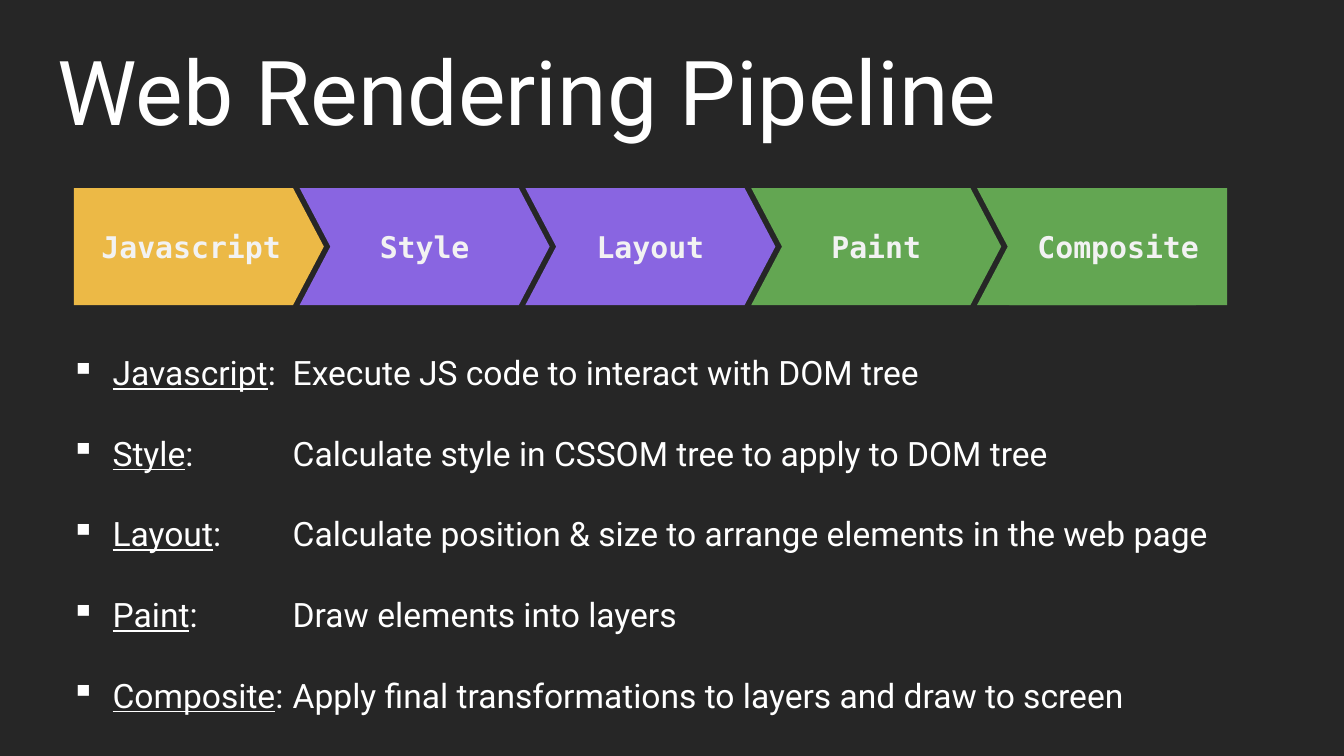
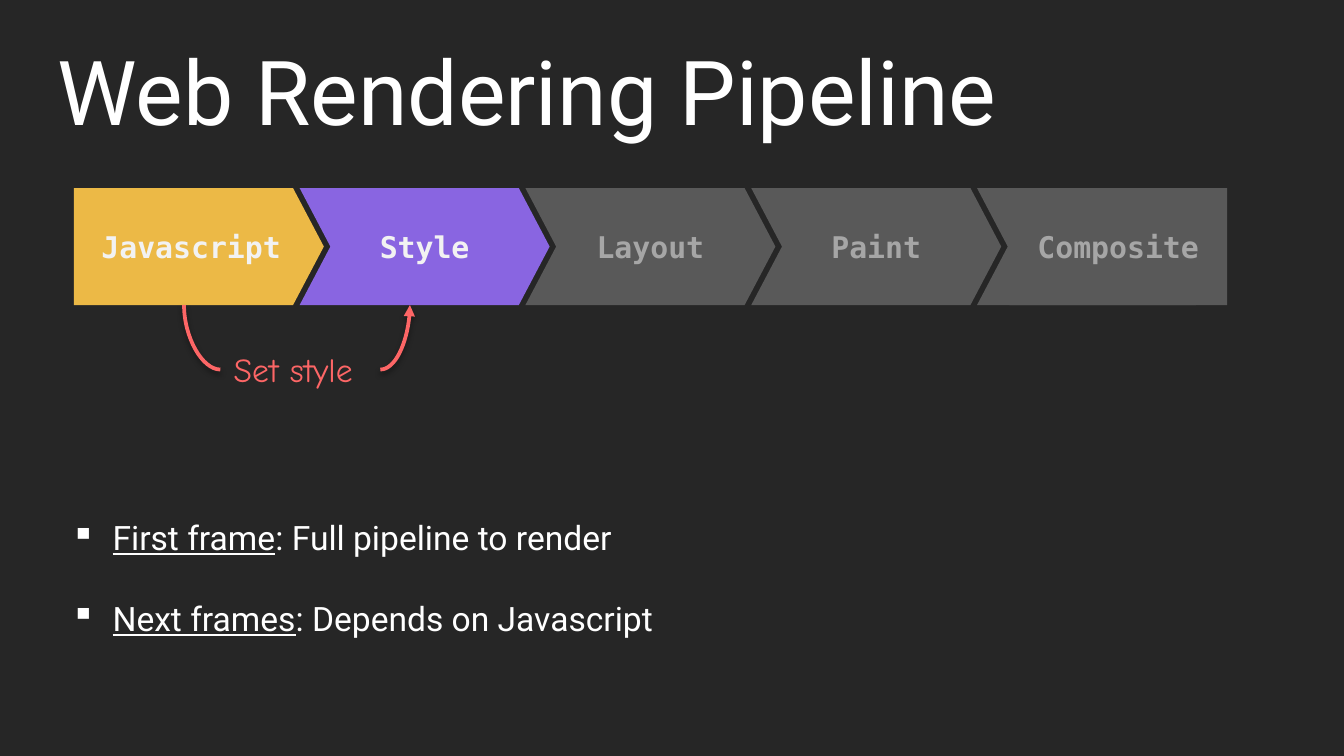
from lxml import etree
from pptx import Presentation
from pptx.dml.color import RGBColor
from pptx.enum.shapes import MSO_CONNECTOR as CONNECTOR, MSO_SHAPE as SHAPE
from pptx.enum.text import MSO_ANCHOR as ANCHOR, MSO_AUTO_SIZE as AUTO_SIZE, PP_ALIGN as ALIGN
from pptx.oxml import parse_xml
from pptx.oxml.ns import nsdecls, qn
from pptx.util import Inches, Pt

# Shared colours and fonts
DARK = RGBColor(0x26, 0x26, 0x26)
WHITE = RGBColor(0xFF, 0xFF, 0xFF)
LIGHT = RGBColor(0xF2, 0xF2, 0xF2)
YELLOW = RGBColor(0xEC, 0xB9, 0x46)
PURPLE = RGBColor(0x89, 0x65, 0xE1)
GREEN = RGBColor(0x63, 0xA6, 0x52)
GREY = RGBColor(0x59, 0x59, 0x59)
FADED = RGBColor(0xA6, 0xA6, 0xA6)
CORAL = RGBColor(0xFD, 0x66, 0x66)
BODY_FONT = "Roboto"
STAGE_FONT = "DejaVu Sans Mono"
NOTE_FONT = "Comic Neue"

# Shared layout, in inches: left, top, width, height
TITLE_BOX = (0.33, 0.22, 9.34, 0.89)
PIPELINE_BOX = (0.55, 1.4, 8.58, 0.87)
STAGE_WIDTH = 1.86
STAGE_POINT = 0.263  # depth of the arrow point relative to the height
BULLET_INDENT = 0.31
DESCRIPTION_TAB = 1.65

STAGES = [
    ("Javascript", YELLOW),
    ("Style", PURPLE),
    ("Layout", PURPLE),
    ("Paint", GREEN),
    ("Composite", GREEN),
]
STAGE_NOTES = [
    ("Javascript", ":\tExecute JS code to interact with DOM tree"),
    ("Style", ":\tCalculate style in CSSOM tree to apply to DOM tree"),
    ("Layout", ":\tCalculate position & size to arrange elements in the web page"),
    ("Paint", ":\tDraw elements into layers"),
    ("Composite", ":\tApply final transformations to layers and draw to screen"),
]
FRAME_NOTES = [
    ("First frame", ": Full pipeline to render"),
    ("Next frames", ": Depends on Javascript"),
]


def inches(box):
    return [Inches(value) for value in box]


def add_run(paragraph, text, font, size, color, bold=None, underline=None):
    run = paragraph.add_run()
    run.text = text
    run.font.name = font
    run.font.size = Pt(size)
    run.font.color.rgb = color
    run.font.bold = bold
    run.font.underline = underline


def add_text_frame(slide, box):
    frame = slide.shapes.add_textbox(*inches(box)).text_frame
    frame.word_wrap = True
    return frame


def add_title(slide, box, text):
    frame = add_text_frame(slide, box)
    frame.vertical_anchor = ANCHOR.MIDDLE
    add_run(frame.paragraphs[0], text, BODY_FONT, 48, WHITE)


def add_stage_shape(shapes, preset, box, point, fill, text="", text_color=LIGHT):
    shape = shapes.add_shape(preset, *inches(box))
    shape.shadow.inherit = False
    shape.adjustments[0] = point
    shape.fill.solid()
    shape.fill.fore_color.rgb = fill
    shape.line.fill.background()
    if text:
        shape.text_frame.vertical_anchor = ANCHOR.MIDDLE
        paragraph = shape.text_frame.paragraphs[0]
        paragraph.alignment = ALIGN.CENTER
        add_run(paragraph, text, STAGE_FONT, 16, text_color, bold=True)


def add_pipeline(slide, box, active):
    """Draw the stages at equal steps; stages that are not active are greyed out."""
    left, top, width, height = box
    last = len(STAGES) - 1
    step = (width - STAGE_WIDTH) / last
    for index, (name, color) in enumerate(STAGES):
        fill, text_color = (color, LIGHT) if name in active else (GREY, FADED)
        stage_box = (left + index * step, top, STAGE_WIDTH, height)
        if index == last:
            # Flat right end: a notched chevron under a plain block
            group = slide.shapes.add_group_shape().shapes
            inset = 0.24
            block_box = (stage_box[0] + inset, top, STAGE_WIDTH - inset, height)
            add_stage_shape(group, SHAPE.CHEVRON, stage_box, STAGE_POINT, fill)
            add_stage_shape(group, SHAPE.CHEVRON, block_box, 0, fill, name, text_color)
        else:
            preset = SHAPE.CHEVRON if index else SHAPE.PENTAGON
            add_stage_shape(slide.shapes, preset, stage_box, STAGE_POINT, fill,
                            name, text_color)


def add_bullets(slide, box, notes):
    frame = add_text_frame(slide, box)
    for index, (term, description) in enumerate(notes):
        paragraph = frame.add_paragraph() if index else frame.paragraphs[0]
        paragraph.line_spacing = 2.0
        # Hanging bullet and a tab stop that lines up the descriptions
        properties = paragraph._p.get_or_add_pPr()
        properties.set("marL", str(Inches(BULLET_INDENT)))
        properties.set("indent", str(-Inches(BULLET_INDENT)))
        etree.SubElement(properties, qn("a:buChar"), char="▪")
        if "\t" in description:
            tabs = etree.SubElement(properties, qn("a:tabLst"))
            etree.SubElement(tabs, qn("a:tab"), pos=str(Inches(DESCRIPTION_TAB)), algn="l")
        add_run(paragraph, term, BODY_FONT, 18, WHITE, underline=True)
        add_run(paragraph, description, BODY_FONT, 18, WHITE, underline=False)


def add_curve(slide, start, end, arrow=False):
    """Draw a quarter curve that leaves sideways and arrives vertically."""
    connector = slide.shapes.add_connector(CONNECTOR.CURVE, *inches(start + end))
    connector.line.color.rgb = CORAL
    connector.line.width = Pt(2)
    properties = connector._element.spPr
    properties.find(qn("a:prstGeom")).set("prst", "curvedConnector2")
    if arrow:
        etree.SubElement(connector.line._get_or_add_ln(), qn("a:tailEnd"), type="triangle")
    properties.append(parse_xml(
        f'<a:effectLst {nsdecls("a")}>'
        f'<a:outerShdw blurRad="{Pt(3.1)}" dist="{Pt(1.6)}" dir="5400000" rotWithShape="0">'
        '<a:srgbClr val="000000"><a:alpha val="38000"/></a:srgbClr>'
        '</a:outerShdw></a:effectLst>'))


def add_set_style_note(slide, box):
    """Label below the pipeline, with curves up to the first two stages."""
    left, top, width, height = box
    middle = top + height / 2
    pipeline_bottom = PIPELINE_BOX[1] + PIPELINE_BOX[3]
    right = left + width
    frame = add_text_frame(slide, box)
    frame.word_wrap = False
    frame.auto_size = AUTO_SIZE.SHAPE_TO_FIT_TEXT
    add_run(frame.paragraphs[0], "Set style", NOTE_FONT, 18, CORAL)
    add_curve(slide, (right, middle), (right + 0.22, pipeline_bottom), arrow=True)
    add_curve(slide, (left, middle), (left - 0.27, pipeline_bottom))


def add_pipeline_slide(presentation, active, notes, notes_box):
    slide = presentation.slides.add_slide(presentation.slide_layouts[6])
    slide.background.fill.solid()
    slide.background.fill.fore_color.rgb = DARK
    add_title(slide, TITLE_BOX, "Web Rendering Pipeline")
    add_pipeline(slide, PIPELINE_BOX, active)
    add_bullets(slide, notes_box, notes)
    return slide


def main():
    presentation = Presentation()
    presentation.slide_width = Inches(10)
    presentation.slide_height = Inches(5.625)

    # Slide 1: every stage explained
    all_stages = [name for name, _ in STAGES]
    add_pipeline_slide(presentation, all_stages, STAGE_NOTES, (0.43, 2.27, 9.57, 3.08))

    # Slide 2: script sets a style
    slide = add_pipeline_slide(presentation, ["Javascript", "Style"], FRAME_NOTES,
                               (0.43, 3.5, 9.57, 1.26))
    add_set_style_note(slide, (1.64, 2.55, 1.19, 0.4))

    presentation.save("out.pptx")


if __name__ == "__main__":
    main()
